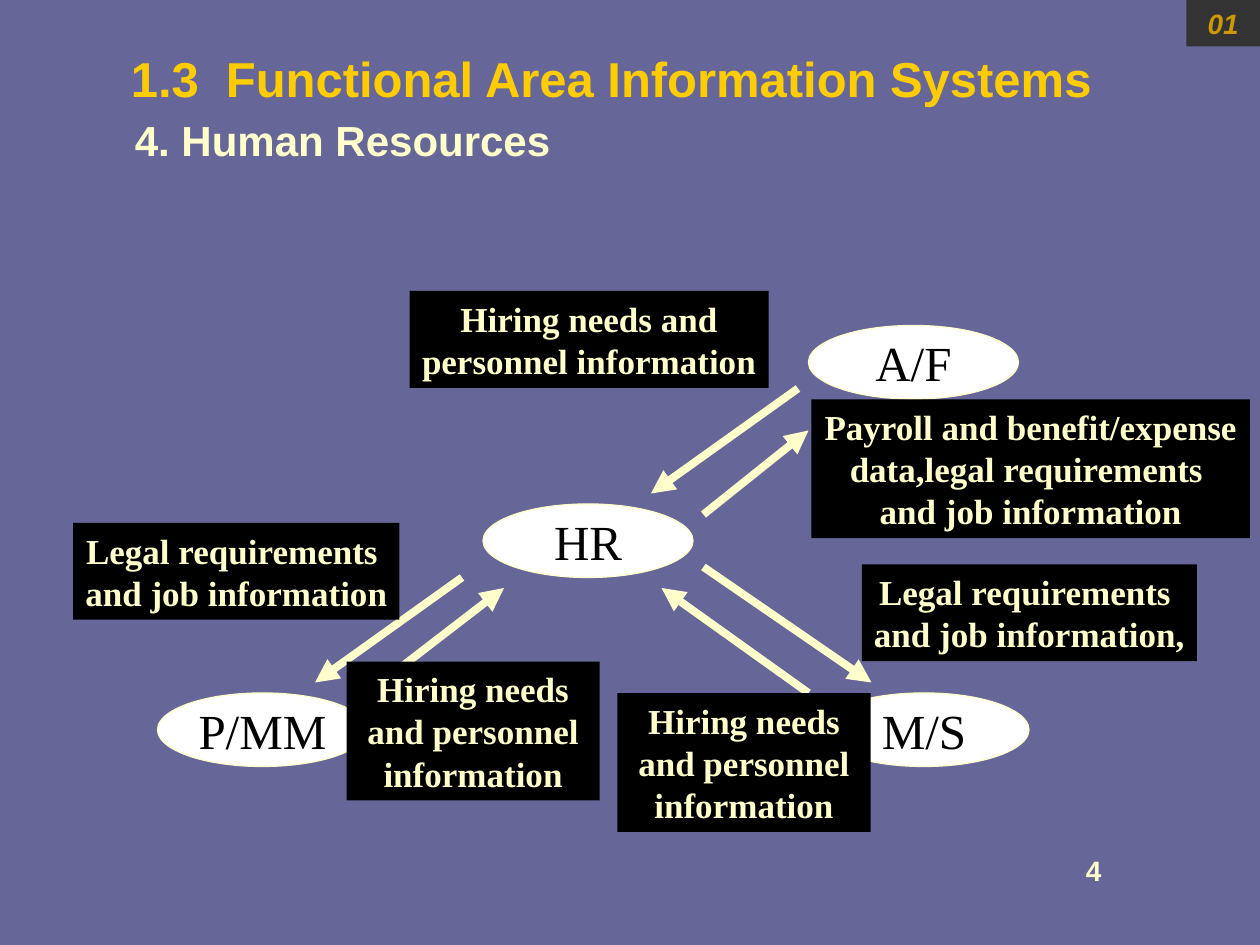
from dataclasses import dataclass
from lxml.etree import SubElement
from pptx import Presentation
from pptx.dml.color import RGBColor as RGB
from pptx.enum.shapes import MSO_CONNECTOR as CONN, MSO_SHAPE as SHAPE
from pptx.enum.text import MSO_ANCHOR as ANCHOR, MSO_AUTO_SIZE as AUTO, PP_ALIGN as ALIGN
from pptx.oxml.ns import qn
from pptx.util import Pt


@dataclass(frozen=True)
class Theme:
    background: RGB = RGB(0x66, 0x66, 0x99)
    title: RGB = RGB(0xFF, 0xCC, 0x00)
    cream: RGB = RGB(0xFF, 0xFF, 0xCC)
    black: RGB = RGB(0, 0, 0)
    white: RGB = RGB(0xFF, 0xFF, 0xFF)
    badge: RGB = RGB(0x33, 0x33, 0x33)
    badge_text: RGB = RGB(0xCC, 0x99, 0x00)
    sans: str = "Arial"
    serif: str = "Times New Roman"
    large: int = 28
    subtitle: int = 24
    label: int = 20
    small: int = 16


T = Theme()

NODE_W, NODE_H = 120, 42
NODES = [("A/F", 422, 26), ("P/MM", 50, 236), ("M/S", 428, 236), ("HR", 236, 128)]
ARROWS = [
    (362, 164, 458, 230),
    (422, 236, 338, 176),
    (416, 62, 332, 122),
    (224, 170, 140, 230),
    (170, 236, 248, 176),
    (362, 134, 422, 86),
]
NEEDS = "Hiring needs\nand personnel\ninformation"
LABELS = [
    ("Legal requirements \nand job information,", 452.5, 162.5, 191.5),
    ("Legal requirements \nand job information", 1.8, 138.8, 186.5),
    (NEEDS, 158, 218, 144.7),
    (NEEDS, 312.8, 236, 144.7),
    ("Payroll and benefit/expense\ndata,legal requirements \nand job information", 423.7, 68.2, 250.6),
    ("Hiring needs and\npersonnel information", 194, 6.3, 205.2),
]


def write(sp, text, size, font, color, bold=True, italic=False,
          align=ALIGN.CENTER, anchor=ANCHOR.MIDDLE, wrap=False):
    tf = sp.text_frame
    tf.text = text
    tf.auto_size = AUTO.NONE
    tf.word_wrap = wrap
    tf.vertical_anchor = anchor
    tf.margin_left = tf.margin_right = Pt(7.2)
    tf.margin_top = tf.margin_bottom = Pt(3.6)
    for p in tf.paragraphs:
        p.alignment = align
        for r in p.runs:
            r.font.size = Pt(size)
            r.font.name = font
            r.font.color.rgb = color
            r.font.bold = bold
            r.font.italic = italic


def add_filled(s, kind, x, y, w, h, fill, line=None):
    sp = s.shapes.add_shape(kind, Pt(x), Pt(y), Pt(w), Pt(h))
    sp.shadow.inherit = False
    sp.fill.solid()
    sp.fill.fore_color.rgb = fill
    if line is None:
        sp.line.fill.background()
    else:
        sp.line.color.rgb = line
        sp.line.width = Pt(0.75)
    return sp


def add_arrow(s, x1, y1, x2, y2):
    line = s.shapes.add_connector(CONN.STRAIGHT, Pt(x1), Pt(y1), Pt(x2), Pt(y2))
    line.line.color.rgb = T.cream
    line.line.width = Pt(4.5)
    SubElement(line.line._get_or_add_ln(), qn("a:tailEnd"), type="triangle")
    SubElement(line._element.spPr, qn("a:effectLst"))


def add_page_marks(s, x, y, w, h):
    badge = add_filled(s, SHAPE.RECTANGLE, x + w - 42, y, 42, 26.6, T.badge)
    write(badge, "01", T.small, T.sans, T.badge_text, italic=True,
          anchor=ANCHOR.TOP, wrap=True)
    number = s.shapes.add_textbox(Pt(x + w - 106.5), Pt(y + h - 56), Pt(91.4), Pt(26.6))
    write(number, "4", T.small, T.sans, T.cream, align=ALIGN.LEFT,
          anchor=ANCHOR.TOP, wrap=True)


def add_heading(s, x, y, w):
    title = s.shapes.title
    title.left, title.top, title.width, title.height = Pt(x), Pt(y), Pt(w), Pt(41)
    write(title, "1.3  Functional Area Information Systems", T.large, T.sans, T.title)
    subtitle = s.shapes.add_textbox(Pt(x + 2.8), Pt(y + 38.2), Pt(252), Pt(36))
    write(subtitle, "4. Human Resources", T.subtitle, T.sans, T.cream)


def add_diagram(s, x, y):
    for name, dx, dy in NODES:
        node = add_filled(s, SHAPE.OVAL, x + dx, y + dy, NODE_W, NODE_H, T.white, T.cream)
        write(node, name, T.large, T.serif, T.black, bold=False)
    for x1, y1, x2, y2 in ARROWS:
        add_arrow(s, x + x1, y + y1, x + x2, y + y2)
    for text, dx, dy, w in LABELS:
        h = 7.4 + 24 * len(text.split("\n"))
        label = add_filled(s, SHAPE.RECTANGLE, x + dx, y + dy, w, h, T.black)
        write(label, text, T.label, T.serif, T.cream)


def main():
    prs = Presentation()
    prs.slide_width, prs.slide_height = Pt(720), Pt(540)
    s = prs.slides.add_slide(prs.slide_layouts[5])
    s.background.fill.solid()
    s.background.fill.fore_color.rgb = T.background
    add_page_marks(s, 0, 0, 720, 540)
    add_heading(s, 67, 23.8, 564.5)
    add_diagram(s, 40, 160)
    prs.save("out.pptx")


if __name__ == "__main__":
    main()
